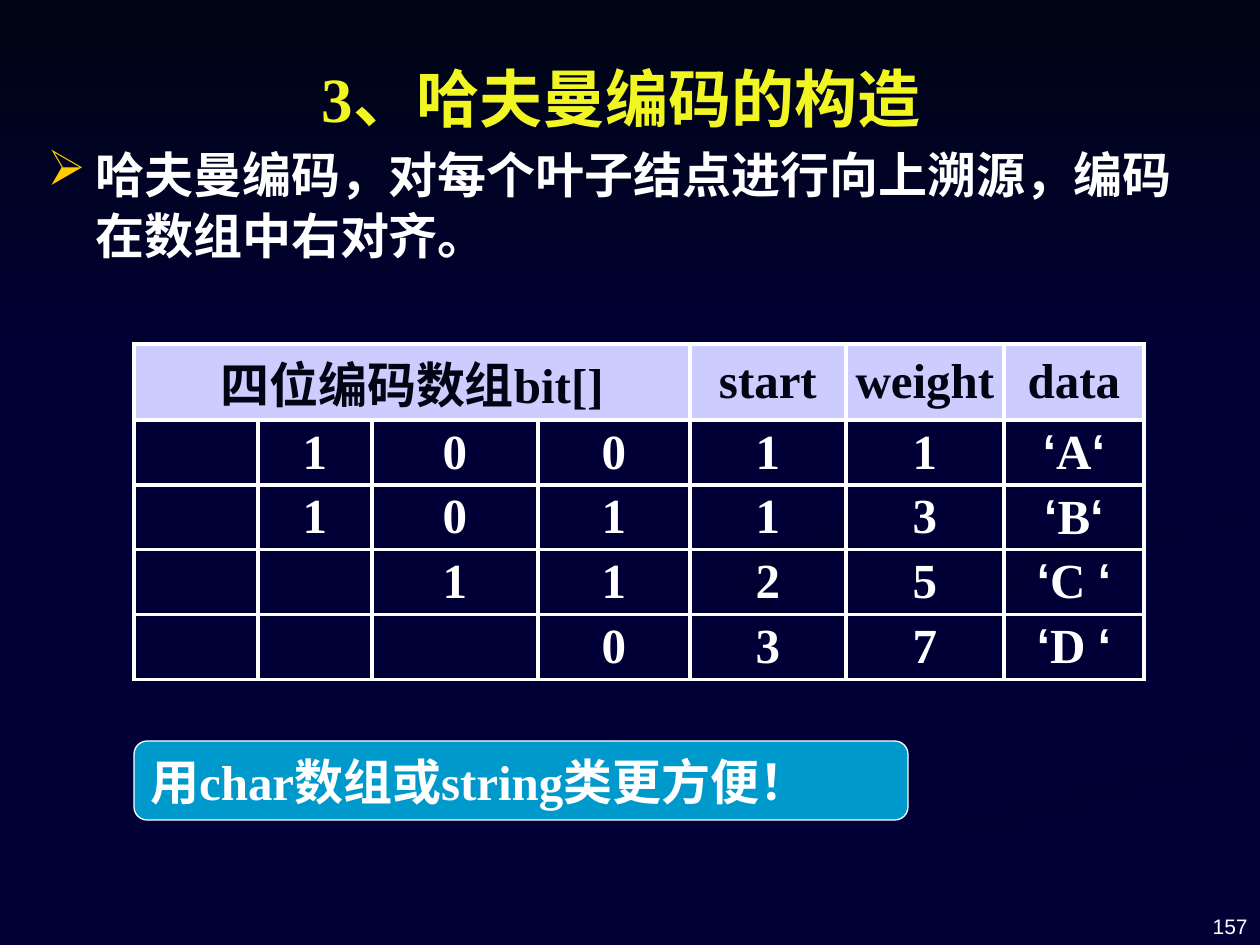
from lxml.etree import SubElement
from pptx import Presentation
from pptx.dml.color import RGBColor
from pptx.enum.shapes import MSO_SHAPE
from pptx.enum.text import MSO_ANCHOR, PP_ALIGN
from pptx.oxml.ns import qn
from pptx.util import Emu, Pt

PX = 914400 / 126
NIGHT, WHITE, INK = "000036", "FFFFFF", "000514"
SERIF, SANS = "Times New Roman", "Arial"

# Each swirl: start colour, angle, outline
SWIRLS = [
    ("000032", 90, [(634, 944), (719, 944), (948, 847), (1257, 767),
                    (1257, 732), (963, 815), (794, 873)]),
    ("000033", 45, [(984, 580), (1041, 625), (1014, 595), (1082, 558),
                    (1257, 529), (1257, 507), (1071, 538)]),
    ("000032", 45, [(861, 542), (1092, 484), (1126, 433), (1062, 347),
                    (960, 294), (1066, 351), (1120, 422), (1046, 481),
                    (787, 537), (727, 582), (784, 630), (757, 575)]),
]

COLS = [124, 114, 166, 152, 156, 158, 140]
HEAD = ["四位编码数组bit[]", "", "", "", "start", "weight", "data"]
CODES = [
    ["", "1", "0", "0", "1", "1", "‘A‘"],
    ["", "1", "0", "1", "1", "3", "‘B‘"],
    ["", "", "1", "1", "2", "5", "‘C ‘"],
    ["", "", "", "0", "3", "7", "‘D ‘"],
]


def px(n):
    return Emu(round(n * PX))


def rgb(code):
    return RGBColor.from_string(code)


def style(run, size, color, face=SERIF, bold=True):
    font = run.font
    font.size, font.bold, font.name = Pt(size), bold, face
    font.color.rgb = rgb(color)


def shade(shape, start, end, angle):
    """Fill with a two-colour gradient; the angle runs clockwise."""
    shape.shadow.inherit = False
    shape.line.fill.background()
    fill = shape.fill
    fill.gradient()
    fill.gradient_angle = (360 - angle) % 360
    for stop, code in zip(fill.gradient_stops, (start, end)):
        stop.color.rgb = rgb(code)


def add_swirl(slide, start, angle, dots):
    pen = slide.shapes.build_freeform(*dots[0], scale=PX)
    pen.add_line_segments(dots[1:], close=True)
    shade(pen.convert_to_shape(), start, NIGHT, angle)


def add_text(slide, box, text, size, color, anchor=MSO_ANCHOR.TOP,
             align=PP_ALIGN.LEFT, face=SERIF, bold=True):
    frame = slide.shapes.add_textbox(*map(px, box)).text_frame
    frame.word_wrap = True
    frame.vertical_anchor = anchor
    para = frame.paragraphs[0]
    para.text = text
    para.alignment = align
    style(para.runs[0], size, color, face, bold)
    return para


def add_bullet(para, mark, color, indent):
    props = para._p.get_or_add_pPr()
    props.set("marL", str(px(indent)))
    props.set("indent", str(-px(indent)))
    tint = SubElement(props, qn("a:buClr"))
    SubElement(tint, qn("a:srgbClr"), val=color)
    SubElement(props, qn("a:buChar"), char=mark)


def add_edges(cell, color, width):
    props = cell._tc.get_or_add_tcPr()
    for side in ("lnL", "lnR", "lnT", "lnB"):
        line = SubElement(props, qn("a:" + side), w=str(Pt(width)))
        fill = SubElement(line, qn("a:solidFill"))
        SubElement(fill, qn("a:srgbClr"), val=color)


def fill_cell(cell, text, head):
    cell.margin_left = cell.margin_right = px(8)
    cell.margin_top = cell.margin_bottom = px(3)
    cell.vertical_anchor = MSO_ANCHOR.MIDDLE
    add_edges(cell, WHITE, 2.25)
    if head:
        cell.fill.solid()
        cell.fill.fore_color.rgb = rgb("CCCCFF")
    else:
        cell.fill.background()
    para = cell.text_frame.paragraphs[0]
    para.alignment = PP_ALIGN.CENTER
    parts = [text[0], text[1:-1], text[-1]] if text.startswith("‘") else [text]
    for part in filter(None, parts):
        run = para.add_run()
        run.text = part
        style(run, 28, INK if head else WHITE, SANS if part == "‘" else SERIF)


def add_codes(slide):
    rows = [HEAD] + CODES
    table = slide.shapes.add_table(len(rows), len(COLS), px(134), px(344),
                                   px(sum(COLS)), px(316)).table
    table.first_row = table.horz_banding = False
    for col, width in zip(table.columns, COLS):
        col.width = px(width)
    for i, row in enumerate(rows):
        table.rows[i].height = px(60 if i else 76)
        for j, text in enumerate(row):
            fill_cell(table.cell(i, j), text, i == 0)
    table.cell(0, 0).merge(table.cell(0, 3))


def add_note(slide, box, text):
    note = slide.shapes.add_shape(MSO_SHAPE.ROUNDED_RECTANGLE, *map(px, box))
    note.shadow.inherit = False
    note.fill.solid()
    note.fill.fore_color.rgb = rgb("0099CC")
    note.line.color.rgb = rgb(WHITE)
    note.line.width = Pt(0.75)
    para = note.text_frame.paragraphs[0]
    para.text = text
    para.alignment = PP_ALIGN.LEFT
    style(para.runs[0], 28, WHITE)


def main():
    deck = Presentation()
    deck.slide_width, deck.slide_height = px(1260), px(945)
    slide = deck.slides.add_slide(deck.slide_layouts[6])
    slide.background.fill.solid()
    slide.background.fill.fore_color.rgb = rgb(NIGHT)
    for swirl in SWIRLS:
        add_swirl(slide, *swirl)
    sky = slide.shapes.add_shape(MSO_SHAPE.RECTANGLE, 0, 0, px(1260), px(388))
    shade(sky, INK, NIGHT, 90)

    add_text(slide, (966, 879, 294, 66), "157", 12, WHITE, MSO_ANCHOR.BOTTOM,
             PP_ALIGN.RIGHT, SANS, False)
    add_text(slide, (54, 30, 1134, 135), "3、哈夫曼编码的构造", 36, "F1F622",
             MSO_ANCHOR.MIDDLE, PP_ALIGN.CENTER)
    body = add_text(slide, (35, 135, 1196, 139),
                    "哈夫曼编码，对每个叶子结点进行向上溯源，编码在数组中右对齐。",
                    28, WHITE)
    add_bullet(body, "➢", "FFCC00", 48)
    body.line_spacing = 1.05
    add_codes(slide)
    add_note(slide, (134, 741, 774, 79), "用char数组或string类更方便！")
    deck.save("out.pptx")


if __name__ == "__main__":
    main()
